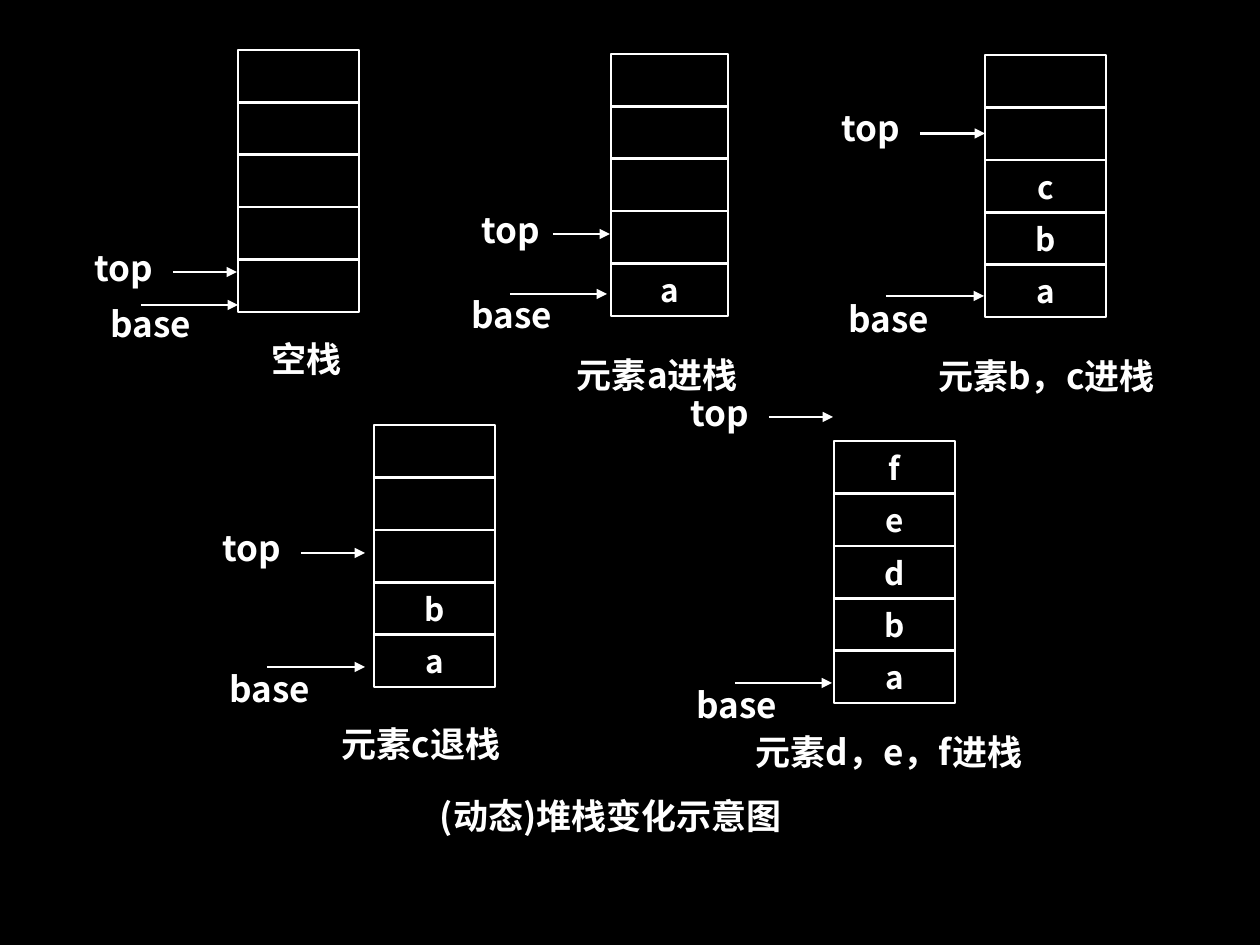
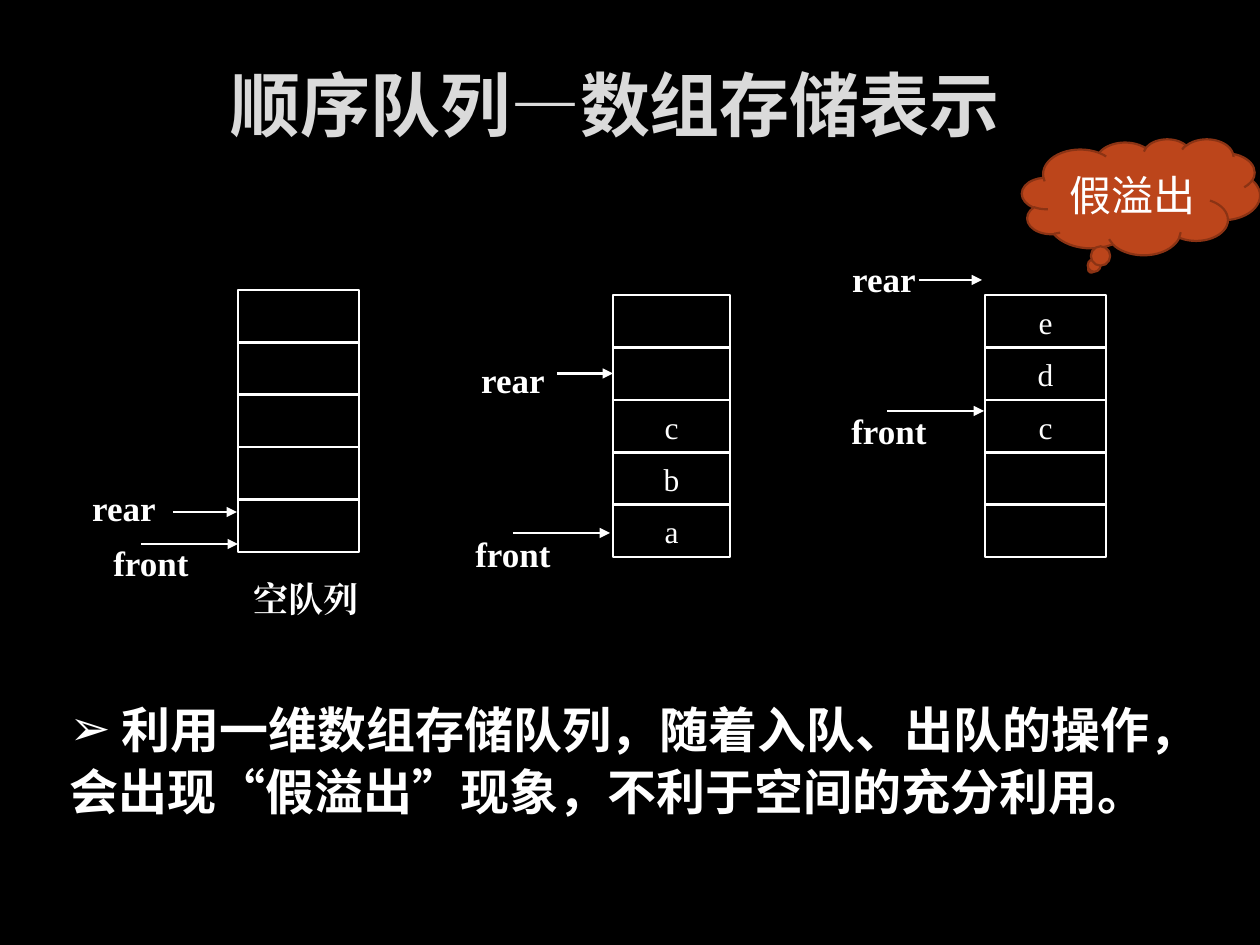
from dataclasses import dataclass
from typing import Optional

from lxml import etree
from pptx import Presentation
from pptx import util as u
from pptx.dml import color
from pptx.enum import shapes, text
from pptx.oxml import ns

EMU_PER_PX = 914400 / 126
SANS = "Noto Sans CJK SC"
SERIF = "Times New Roman"
WHITE = "FFFFFF"
BLACK = "000000"
TITLE_GREY = "DADADA"
CLOUD_FILL = "BC451B"
CLOUD_LINE = "8B3314"
CELL_COUNT = 5
CELL_HEIGHT = 53
STACK_HEIGHT = 262
LABEL_HEIGHT = 58


@dataclass(frozen=True)
class Box:
    x: int
    y: int
    w: int
    h: int = LABEL_HEIGHT


@dataclass(frozen=True)
class Style:
    font: str
    size: int
    bold: bool = True
    color: str = WHITE


@dataclass(frozen=True)
class Pointer:
    label: str
    box: Box
    start: int
    end: int
    y: int
    joined_cell: Optional[int] = None


@dataclass(frozen=True)
class Stack:
    x: int
    top: int
    width: int
    cells: tuple[str, ...]
    pointers: tuple[Pointer, ...]
    caption: str = ""
    caption_box: Optional[Box] = None


EMPTY = ("",) * CELL_COUNT

STACKS = (
    Stack(238, 50, 121, EMPTY, (
        Pointer("base", Box(84, 294, 134), 141, 238, 305),
        Pointer("top", Box(82, 238, 84), 173, 237, 272),
    ), "空栈", Box(246, 330, 121)),
    Stack(611, 54, 117, ("", "", "", "", "a"), (
        Pointer("base", Box(445, 286, 134), 510, 607, 294),
        Pointer("top", Box(474, 200, 74), 553, 610, 234),
    ), "元素a进栈", Box(530, 338, 255, 73)),
    Stack(985, 55, 121, ("", "", "c", "b", "a"), (
        Pointer("base", Box(822, 289, 134), 886, 984, 296),
        Pointer("top", Box(829, 98, 84), 920, 985, 134, joined_cell=1),
    ), "元素b，c进栈", Box(919, 341, 255, 69)),
    Stack(374, 425, 121, ("", "", "", "b", "a"), (
        Pointer("base", Box(203, 659, 134), 267, 365, 667),
        Pointer("top", Box(210, 519, 84), 301, 365, 553),
    ), "元素c退栈", Box(312, 712, 218, 64)),
    Stack(834, 441, 121, ("f", "e", "d", "b", "a"), (
        Pointer("base", Box(670, 675, 134), 735, 832, 683),
        Pointer("top", Box(678, 383, 84), 769, 833, 417),
    ), "元素d，e，f进栈", Box(737, 722, 304)),
)

QUEUES = (
    Stack(238, 290, 121, EMPTY, (
        Pointer("front", Box(84, 533, 134), 141, 238, 544),
        Pointer("rear", Box(82, 478, 84), 173, 237, 512),
    ), "空队列", Box(246, 570, 121)),
    Stack(613, 295, 117, ("", "", "c", "b", "a"), (
        Pointer("front", Box(446, 525, 134), 513, 610, 533),
        Pointer("rear", Box(476, 350, 74), 557, 613, 374, joined_cell=1),
    )),
    Stack(985, 295, 121, ("e", "d", "c", "", ""), (
        Pointer("front", Box(822, 401, 134), 887, 984, 411),
        Pointer("rear", Box(842, 249, 84), 919, 982, 280),
    )),
)


def px(length: float) -> u.Emu:
    return u.Emu(round(length * EMU_PER_PX))


def rgb(value: str) -> color.RGBColor:
    return color.RGBColor.from_string(value)


def place(box: Box) -> tuple:
    return px(box.x), px(box.y), px(box.w), px(box.h)


def move(sp, box: Box) -> None:
    sp.left, sp.top, sp.width, sp.height = place(box)


def write(sp, words: str, style: Style, wrap: bool = False,
          align=text.PP_ALIGN.CENTER, anchor=text.MSO_ANCHOR.MIDDLE):
    tf = sp.text_frame
    tf.word_wrap = wrap
    tf.vertical_anchor = anchor
    tf.auto_size = text.MSO_AUTO_SIZE.NONE
    p = tf.paragraphs[0]
    p.text = words
    p.alignment = align
    p.font.size = u.Pt(style.size)
    p.font.bold = style.bold
    p.font.color.rgb = rgb(style.color)
    p.font.name = style.font
    defaults = p._p.pPr.find(ns.qn("a:defRPr"))
    etree.SubElement(defaults, ns.qn("a:ea"), typeface=style.font)
    return p


def add_label(s, words: str, box: Box, style: Style, wrap: bool = False) -> None:
    write(s.shapes.add_textbox(*place(box)), words, style, wrap)


def add_cell(s, words: str, box: Box, style: Style):
    sp = s.shapes.add_shape(shapes.MSO_SHAPE.RECTANGLE, *place(box))
    sp.shadow.inherit = False
    sp.fill.background()
    sp.line.color.rgb = rgb(WHITE)
    sp.line.width = u.Pt(0.75)
    if words:
        write(sp, words, style)
    return sp


def add_pointer(s, pointer: Pointer, cells: list, style: Style) -> None:
    add_label(s, pointer.label, pointer.box, style)
    y = px(pointer.y)
    if pointer.joined_cell is not None:
        cell = cells[pointer.joined_cell]
        y = cell.top + cell.height // 2
    arrow = s.shapes.add_connector(
        shapes.MSO_CONNECTOR.STRAIGHT, px(pointer.start), y, px(pointer.end), y)
    arrow.line.color.rgb = rgb(WHITE)
    arrow.line.width = u.Pt(1.5)
    etree.SubElement(arrow.line._get_or_add_ln(), ns.qn("a:tailEnd"), type="triangle")
    etree.SubElement(arrow._element.spPr, ns.qn("a:effectLst"))
    if pointer.joined_cell is not None:
        arrow.end_connect(cell, 1)


def add_stack(s, stack: Stack, label_style: Style, cell_style: Style) -> None:
    pitch = (STACK_HEIGHT - CELL_HEIGHT) / (CELL_COUNT - 1)
    cells = [
        add_cell(s, words, Box(stack.x, round(stack.top + i * pitch), stack.width, CELL_HEIGHT),
                 cell_style)
        for i, words in enumerate(stack.cells)
    ]
    for pointer in stack.pointers:
        add_pointer(s, pointer, cells, label_style)
    if stack.caption_box:
        add_label(s, stack.caption, stack.caption_box, label_style)


def add_cloud(s, words: str, box: Box) -> None:
    sp = s.shapes.add_shape(shapes.MSO_SHAPE.CLOUD_CALLOUT, *place(box))
    sp.shadow.inherit = False
    sp.fill.solid()
    sp.fill.fore_color.rgb = rgb(CLOUD_FILL)
    sp.line.color.rgb = rgb(CLOUD_LINE)
    sp.line.width = u.Pt(1.25)
    write(sp, words, Style(SANS, 24, bold=False), wrap=True)


def fill_body(body, words: str, box: Box) -> None:
    move(body, box)
    p = write(body, words, Style(SANS, 28), wrap=True,
              align=text.PP_ALIGN.LEFT, anchor=text.MSO_ANCHOR.TOP)
    p.line_spacing = 1.05
    p.space_before = u.Pt(0)
    pPr = p._p.pPr
    pPr.set("marL", "0")
    pPr.set("indent", "0")
    bullet = etree.Element(ns.qn("a:buChar"), char="➢")
    pPr.find(ns.qn("a:defRPr")).addprevious(bullet)


def build_stack_slide(prs) -> None:
    s = prs.slides.add_slide(prs.slide_layouts[6])
    label_style = Style(SANS, 20)
    add_label(s, "(动态)堆栈变化示意图", Box(260, 786, 702), label_style, wrap=True)
    for stack in STACKS:
        add_stack(s, stack, label_style, Style(SANS, 18))


def build_queue_slide(prs) -> None:
    s = prs.slides.add_slide(prs.slide_layouts[1])
    move(s.shapes.title, Box(140, 43, 966, 120))
    write(s.shapes.title, "顺序队列—数组存储表示 ", Style(SANS, 40, color=TITLE_GREY), wrap=True)
    fill_body(s.placeholders[1],
              " 利用一维数组存储队列，随着入队、出队的操作，会出现“假溢出”现象，不利于空间的充分利用。",
              Box(57, 690, 1134, 130))
    for queue in QUEUES:
        add_stack(s, queue, Style(SERIF, 20), Style(SERIF, 18, bold=False))
    add_cloud(s, "假溢出", Box(1022, 139, 238, 116))


def main() -> None:
    prs = Presentation()
    prs.slide_width, prs.slide_height = px(1260), px(945)
    background = prs.slide_master.background.fill
    background.solid()
    background.fore_color.rgb = rgb(BLACK)
    build_stack_slide(prs)
    build_queue_slide(prs)
    prs.save("out.pptx")


if __name__ == "__main__":
    main()
